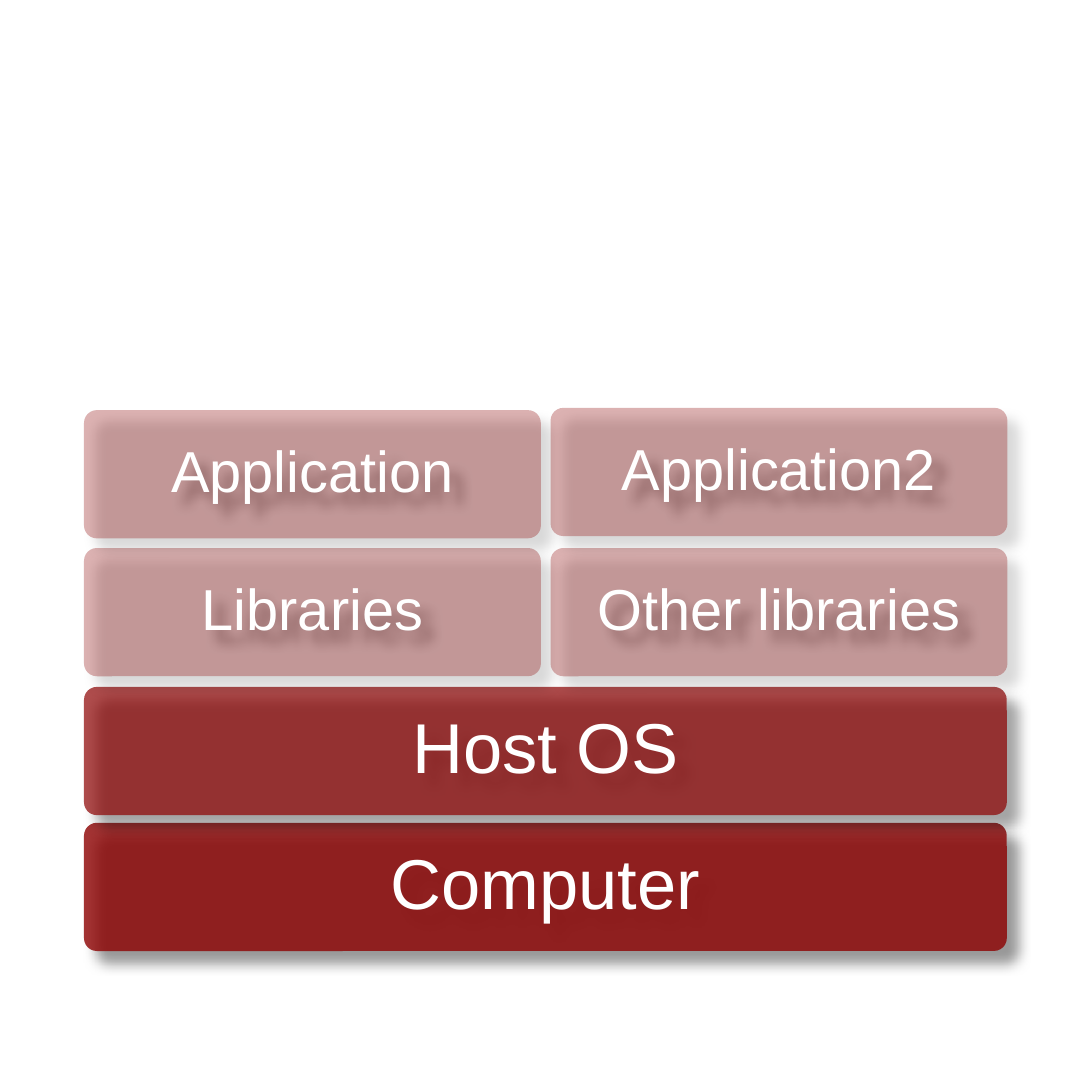
import pptx
import pptx.util
import pptx.dml.color
import pptx.enum.shapes
import pptx.enum.text
import pptx.oxml
import pptx.oxml.ns

Pt = pptx.util.Pt
RED = pptx.dml.color.RGBColor(0x8D, 0x01, 0x01)
WHITE = pptx.dml.color.RGBColor(0xFF, 0xFF, 0xFF)
BLACK = pptx.dml.color.RGBColor(0, 0, 0)

LEFT, RIGHT = 26.2, 171.7
FULL, HALF = 287.8, 142.5
TALL = 40


class Stack:
    """Draws the layers of a software stack on one slide."""

    def __init__(self, slide, font):
        self.slide = slide
        self.font = font

    def layer(self, text, left, top, width, alpha, size, inset):
        box = self.slide.shapes.add_shape(
            pptx.enum.shapes.MSO_SHAPE.ROUNDED_RECTANGLE,
            Pt(left), Pt(top), Pt(width), Pt(TALL))
        box.adjustments[0] = 0.1
        box.fill.solid()
        box.fill.fore_color.rgb = RED
        color = box.fill._xPr.find(".//" + pptx.oxml.ns.qn("a:srgbClr"))
        color.append(pptx.oxml.parse_xml(
            f'<a:alpha {pptx.oxml.ns.nsdecls("a")} val="{alpha * 1000}"/>'))
        box.line.fill.background()
        self.shade(box)
        self.label(box.text_frame, text, size, inset)

    def shade(self, box):
        box.shadow.inherit = False
        effect = box._element.spPr.find(pptx.oxml.ns.qn("a:effectLst"))
        effect.append(pptx.oxml.parse_xml(
            f'<a:outerShdw {pptx.oxml.ns.nsdecls("a")} blurRad="{Pt(4)}" '
            f'dist="{Pt(5)}" dir="{45 * 60000}" algn="tl" rotWithShape="0">'
            f'<a:srgbClr val="{BLACK}"><a:alpha val="50000"/></a:srgbClr>'
            '</a:outerShdw>'))

    def label(self, frame, text, size, inset):
        frame.word_wrap = True
        frame.vertical_anchor = pptx.enum.text.MSO_ANCHOR.MIDDLE
        frame.margin_left = frame.margin_right = Pt(inset)
        frame.margin_top = frame.margin_bottom = Pt(inset)
        line = frame.paragraphs[0]
        line.text = text
        line.alignment = pptx.enum.text.PP_ALIGN.CENTER
        line.line_spacing = 0.9
        line.font.name = self.font
        line.font.size = Pt(size)
        line.font.color.rgb = WHITE


def main():
    deck = pptx.Presentation()
    deck.slide_width = deck.slide_height = Pt(340.56)
    stack = Stack(deck.slides.add_slide(deck.slide_layouts[6]), "Arial")
    for text, top, alpha in (("Computer", 256.6, 80), ("Host OS", 214.2, 70)):
        stack.layer(text, LEFT, top, FULL, alpha, 22, 8)
    for text, left, top in (
            ("Libraries", LEFT, 170.9),
            ("Application", LEFT, 127.9),
            ("Other libraries", RIGHT, 170.9),
            ("Application2", RIGHT, 127.2)):
        stack.layer(text, left, top, HALF, 30, 18, 6.6)
    deck.save("out.pptx")


if __name__ == "__main__":
    main()
